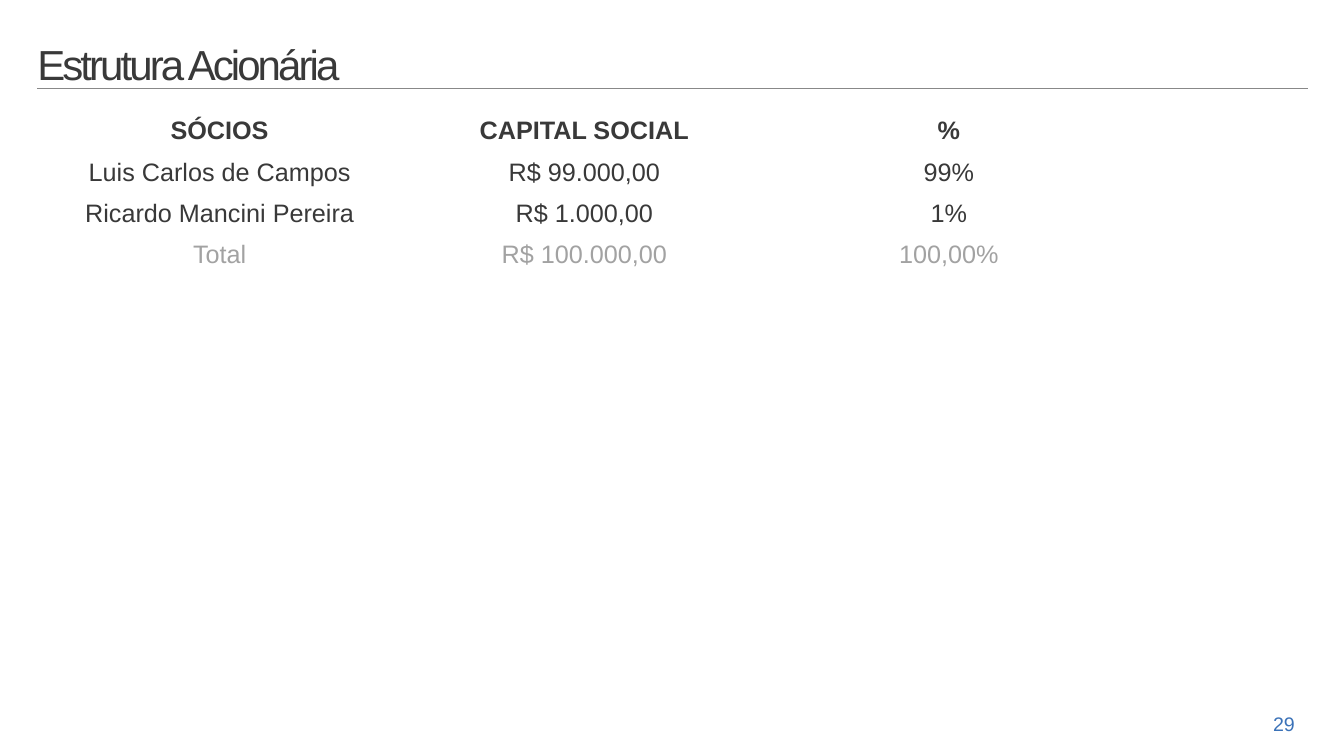
from pptx import Presentation
from pptx.dml.color import RGBColor
from pptx.enum.shapes import MSO_CONNECTOR
from pptx.enum.text import MSO_ANCHOR, PP_ALIGN
from pptx.oxml.ns import qn
from pptx.util import Inches, Pt

DARK = RGBColor(0x39, 0x39, 0x39)
MUTED = RGBColor(0xA2, 0xA2, 0xA2)
RULE = RGBColor(0x88, 0x88, 0x88)
BLUE = RGBColor(0x3B, 0x72, 0xB8)
LEFT = Inches(0.37)


def style(para, size, color, bold=False):
    para.font.name = "Arial"
    para.font.size = Pt(size)
    para.font.color.rgb = color
    para.font.bold = bold


deck = Presentation()
deck.slide_width = Inches(13.33)
deck.slide_height = Inches(7.5)
page = deck.slides.add_slide(deck.slide_layouts[6])

# Title and rule
rule = page.shapes.add_connector(
    MSO_CONNECTOR.STRAIGHT, LEFT, Inches(0.88), Inches(12.97), Inches(0.88))
rule.line.color.rgb = RULE
rule.line.width = Pt(0.85)
properties = rule.element.spPr
properties.append(properties.makeelement(qn("a:effectLst"), {}))

title = page.shapes.add_textbox(LEFT, Inches(0.12), Inches(6.41), Inches(0.76)).text_frame
title.word_wrap = True
title.vertical_anchor = MSO_ANCHOR.BOTTOM
title.margin_left = title.margin_right = title.margin_bottom = 0
title.margin_top = Inches(0.07)
para = title.paragraphs[0]
para.line_spacing = 0.85
span = para.add_run()
span.text = "Estrutura Acionária"
style(para, 30, DARK)
span.font._element.set("spc", "-210")

# Shareholder table
rows = [
    ("SÓCIOS", "CAPITAL SOCIAL", "%"),
    ("Luis Carlos de Campos", "R$ 99.000,00", "99%"),
    ("Ricardo Mancini Pereira", "R$ 1.000,00", "1%"),
    ("Total", "R$ 100.000,00", "100,00%"),
]
table = page.shapes.add_table(
    len(rows), 3, LEFT, Inches(1.11), Inches(10.85), Inches(0.41 * len(rows))).table
table.first_row = table.horz_banding = False
# "No Style, No Grid" keeps the table free of borders
table._tbl.tblPr.find(qn("a:tableStyleId")).text = "{2D5ABB26-0587-4C30-8999-92F81FD0307C}"
last = len(rows) - 1
for row, texts in enumerate(rows):
    for column, text in enumerate(texts):
        cell = table.cell(row, column)
        cell.fill.background()
        cell.text = text
        para = cell.text_frame.paragraphs[0]
        para.alignment = PP_ALIGN.CENTER
        style(para, 18, MUTED if row == last else DARK, bold=row == 0)

# Page number
number = page.shapes.add_textbox(
    Inches(12.47), Inches(7.01), Inches(0.53), Inches(0.34)).text_frame
number.word_wrap = True
number.text = "29"
para = number.paragraphs[0]
para.alignment = PP_ALIGN.CENTER
style(para, 14, BLUE)

deck.save("out.pptx")
